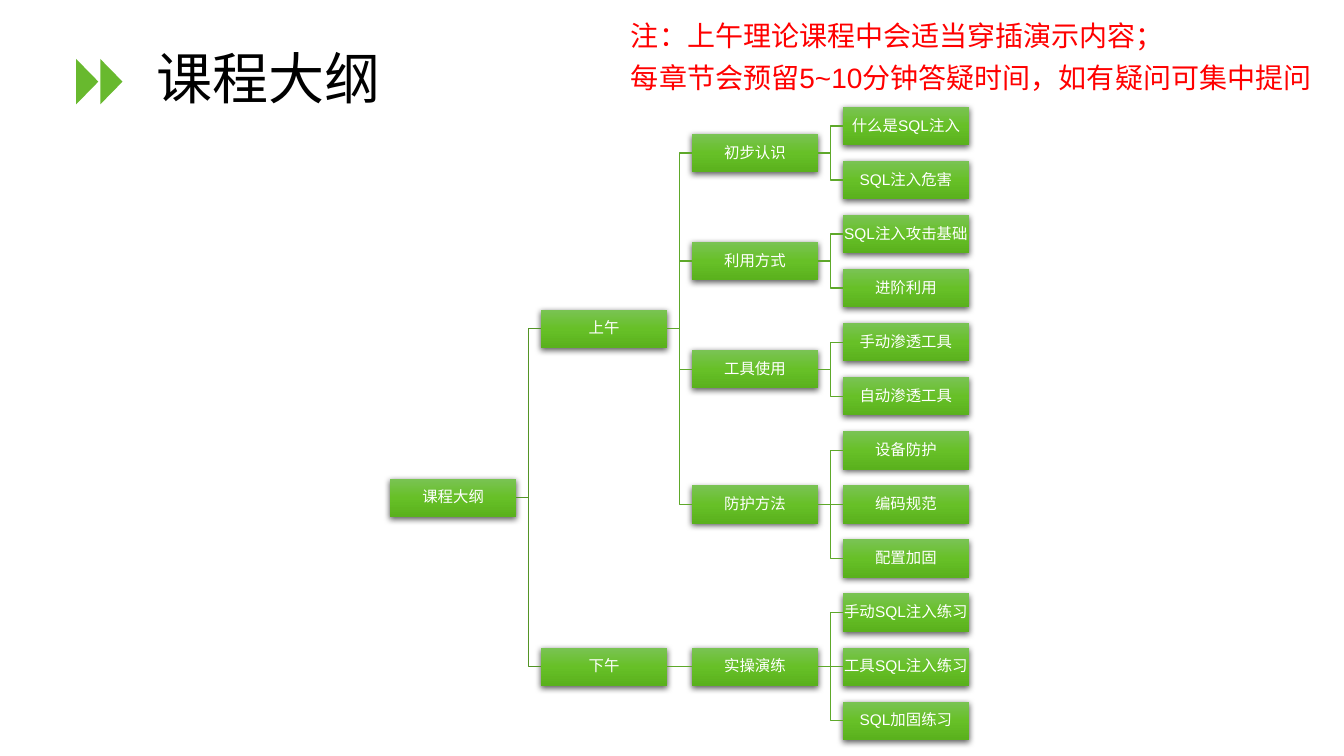
from dataclasses import dataclass
from itertools import count
from typing import Iterator

from lxml.etree import SubElement
from pptx import Presentation
from pptx.dml.color import RGBColor
from pptx.enum.shapes import MSO_CONNECTOR, MSO_SHAPE
from pptx.enum.text import MSO_ANCHOR, MSO_AUTO_SIZE, PP_ALIGN
from pptx.oxml.ns import qn
from pptx.shapes.autoshape import Shape
from pptx.shapes.shapetree import SlideShapes
from pptx.text.text import TextFrame
from pptx.util import Inches, Pt

COLORS = {
    "marker": "68B92E",
    "title": "000000",
    "note": "FF0000",
    "box_text": "FFFFFF",
    "box_top": "7AC354",
    "box_middle": "67C027",
    "box_bottom": "5AB11D",
    "root_link": "539425",
    "link": "5EA82A",
    "shadow": "000000",
}
LATIN_FONT = "Arial"
CHINESE_FONT = "Noto Sans CJK SC"
BOX_WIDTH, BOX_HEIGHT = 1.25, 0.38
TREE_LEFT, TREE_TOP = 3.87, 1.06
COLUMN_STEP = (8.36 - TREE_LEFT) / 3
ROW_STEP = (6.96 - TREE_TOP) / 11
MARKER_LEFTS = (0.88, 0.64)


@dataclass(frozen=True)
class Topic:
    """A box of the course tree with the topics that follow from it."""

    label: str
    children: tuple["Topic", ...] = ()


def topic(label: str, *leaves: str) -> Topic:
    """Return a topic whose children are plain leaves."""
    return Topic(label, tuple(Topic(leaf) for leaf in leaves))


OUTLINE = Topic("课程大纲", (
    Topic("上午", (
        topic("初步认识", "什么是SQL注入", "SQL注入危害"),
        topic("利用方式", "SQL注入攻击基础", "进阶利用"),
        topic("工具使用", "手动渗透工具", "自动渗透工具"),
        topic("防护方法", "设备防护", "编码规范", "配置加固"),
    )),
    Topic("下午", (
        topic("实操演练", "手动SQL注入练习", "工具SQL注入练习", "SQL加固练习"),
    )),
))
NOTE = "注：上午理论课程中会适当穿插演示内容；\n每章节会预留5~10分钟答疑时间，如有疑问可集中提问"


def rgb(name: str) -> RGBColor:
    """Return the named colour."""
    return RGBColor.from_string(COLORS[name])


def format_text(frame: TextFrame, size: float, color: str, latin: str,
                align: PP_ALIGN, spacing: float) -> None:
    """Format every paragraph and run of a text frame."""
    frame.word_wrap = True
    for paragraph in frame.paragraphs:
        paragraph.alignment = align
        paragraph.line_spacing = spacing
        for run in paragraph.runs:
            run.font.size = Pt(size)
            run.font.name = latin
            run.font.color.rgb = rgb(color)
            chinese = SubElement(run.font._element, qn("a:ea"))
            chinese.set("typeface", CHINESE_FONT)


def add_color_xml(parent, tag: str, color: str, **attributes: str):
    """Add an XML element holding one colour and return that colour."""
    holder = SubElement(parent, qn(tag), attributes)
    return SubElement(holder, qn("a:srgbClr"), val=COLORS[color])


def style_box(box: Shape) -> None:
    """Give a box its green gradient and soft shadow."""
    box.line.fill.background()
    box.fill.gradient()
    box.fill.gradient_angle = 270
    stops = box.element.spPr.find(".//" + qn("a:gsLst"))
    stops.clear()
    for position, color in enumerate(("box_top", "box_middle", "box_bottom")):
        add_color_xml(stops, "a:gs", color, pos=str(position * 50000))
    box.shadow.inherit = False
    effects = box.element.spPr.find(qn("a:effectLst"))
    shade = add_color_xml(effects, "a:outerShdw", "shadow", blurRad=str(Pt(4.5)),
                          dist=str(Pt(1.5)), dir="5400000", algn="ctr", rotWithShape="0")
    SubElement(shade, qn("a:alpha"), val="63000")


def add_box(shapes: SlideShapes, label: str, level: int, row: float) -> Shape:
    """Draw one labelled box at a tree level and row."""
    box = shapes.add_shape(
        MSO_SHAPE.RECTANGLE,
        Inches(TREE_LEFT + level * COLUMN_STEP), Inches(TREE_TOP + row * ROW_STEP),
        Inches(BOX_WIDTH), Inches(BOX_HEIGHT))
    style_box(box)
    frame = box.text_frame
    frame.text = label
    frame.vertical_anchor = MSO_ANCHOR.MIDDLE
    frame.margin_left = frame.margin_right = Inches(0.01)
    frame.margin_top = frame.margin_bottom = Inches(0.01)
    format_text(frame, 11, "box_text", LATIN_FONT, PP_ALIGN.CENTER, 0.9)
    return box


def add_link(shapes: SlideShapes, parent: Shape, child: Shape, color: str) -> None:
    """Join the right side of a parent to the left side of a child."""
    level = abs(parent.top - child.top) < Inches(0.01)
    kind = MSO_CONNECTOR.STRAIGHT if level else MSO_CONNECTOR.ELBOW
    link = shapes.add_connector(kind, 0, 0, 0, 0)
    link.begin_connect(parent, 3)
    link.end_connect(child, 1)
    link.line.color.rgb = rgb(color)
    link.line.width = Pt(1)
    SubElement(link.element.spPr, qn("a:effectLst"))


def add_tree(shapes: SlideShapes, node: Topic, level: int,
             leaf_rows: Iterator[int]) -> tuple[Shape, float]:
    """Draw a topic centred on its children and return its box and row."""
    branches = [add_tree(shapes, child, level + 1, leaf_rows) for child in node.children]
    row = (branches[0][1] + branches[-1][1]) / 2 if branches else next(leaf_rows)
    box = add_box(shapes, node.label, level, row)
    for child_box, _ in branches:
        add_link(shapes, box, child_box, "link" if level else "root_link")
    return box, row


def add_marker(shapes: SlideShapes, left: float) -> None:
    """Draw one triangle pointing at the title."""
    marker = shapes.add_shape(MSO_SHAPE.ISOSCELES_TRIANGLE, Inches(left), Inches(0.7),
                              Inches(0.45), Inches(0.22))
    marker.rotation = 90
    marker.fill.solid()
    marker.fill.fore_color.rgb = rgb("marker")
    marker.line.fill.background()
    marker.shadow.inherit = False


def format_title(title: Shape) -> None:
    """Place and fill the title placeholder."""
    title.left, title.top = Inches(1.45), Inches(0.08)
    title.width, title.height = Inches(11), Inches(1.45)
    frame = title.text_frame
    frame.text = OUTLINE.label
    frame.vertical_anchor = MSO_ANCHOR.MIDDLE
    frame.auto_size = MSO_AUTO_SIZE.NONE
    format_text(frame, 40, "title", CHINESE_FONT, PP_ALIGN.LEFT, 0.9)


def add_note(shapes: SlideShapes) -> None:
    """Write the red note at the top right."""
    note = shapes.add_textbox(Inches(6.16), Inches(0.05), Inches(7.08), Inches(0.94))
    note.text_frame.text = NOTE
    note.text_frame.auto_size = MSO_AUTO_SIZE.SHAPE_TO_FIT_TEXT
    format_text(note.text_frame, 20, "note", LATIN_FONT, PP_ALIGN.LEFT, 1.25)


def main() -> None:
    """Build the course outline slide."""
    deck = Presentation()
    deck.slide_width, deck.slide_height = Inches(13.33), Inches(7.5)
    slide = deck.slides.add_slide(deck.slide_layouts[5])
    format_title(slide.shapes.title)
    for left in MARKER_LEFTS:
        add_marker(slide.shapes, left)
    add_tree(slide.shapes, OUTLINE, 0, count())
    add_note(slide.shapes)
    deck.save("out.pptx")


if __name__ == "__main__":
    main()
